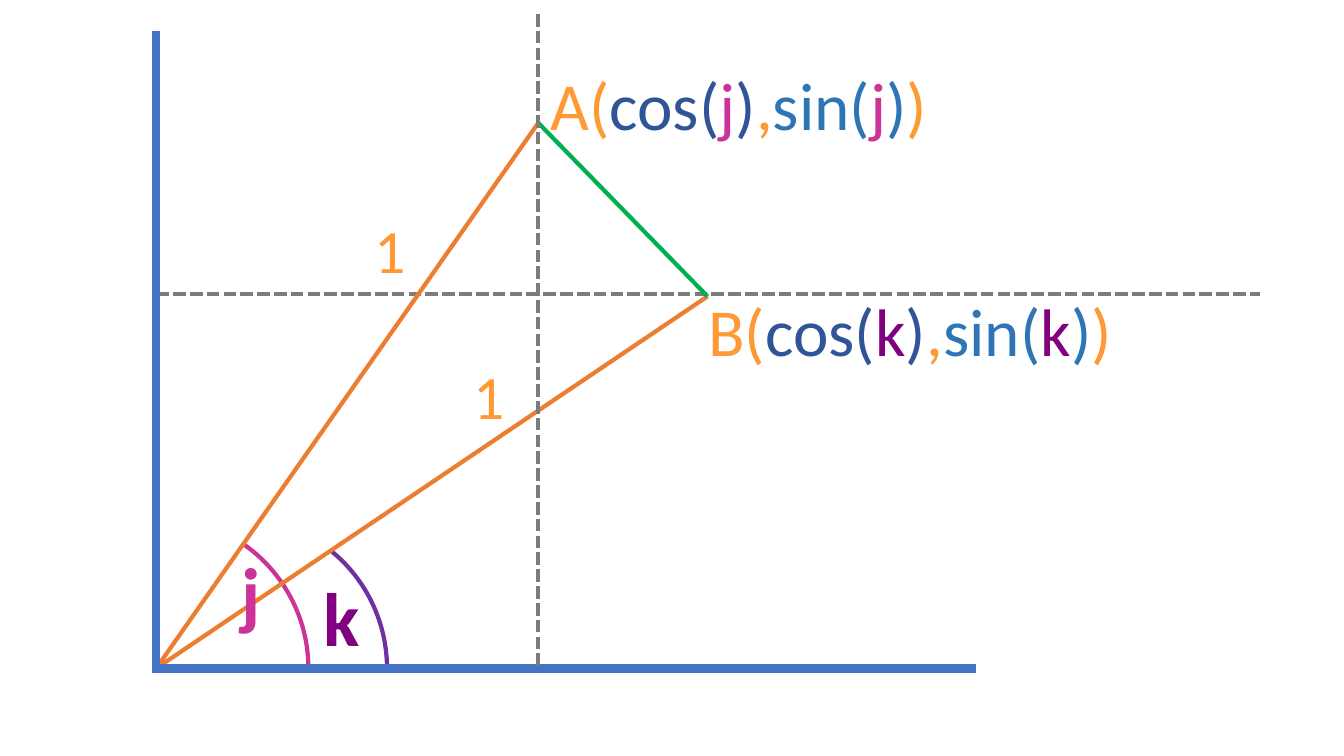
from lxml import etree
from pptx import Presentation
from pptx import util as u
from pptx.dml.color import RGBColor
from pptx.enum import dml, shapes, text
from pptx.oxml import ns

Pt = u.Pt
FONT = "Calibri"
COLORS = {
    "axis": "4472C4", "guide": "7C7C7C", "ray": "ED7D31", "chord": "00B050",
    "arc_k": "7030A0", "j": "CC3399", "k": "800080",
    "point": "FF9933", "cos": "2F5597", "sin": "2E75B6",
}

# Key places of the diagram, in points
ORIGIN = (111.6, 477.4)
A = (384.5, 87.8)
B = (505.4, 211.7)
GUIDE_Y = 210.3
AXIS_TOP = 22.3
AXIS_RIGHT = 697
ARC_RADIUS = 108


def color(name):
    return RGBColor.from_string(COLORS[name])


def add_line(page, start, end, name, width=3, dashed=False):
    ends = [Pt(value) for value in (*start, *end)]
    line = page.shapes.add_connector(shapes.MSO_CONNECTOR.STRAIGHT, *ends)
    line.line.color.rgb = color(name)
    line.line.width = Pt(width)
    if dashed:
        line.line.dash_style = dml.MSO_LINE.SQUARE_DOT
        line.line._ln.find(ns.qn("a:prstDash")).set("val", "sysDash")
    etree.SubElement(line._element.spPr, ns.qn("a:effectLst"))


def add_angle(page, center_x, degrees, name):
    """Draw an arc that rises from the horizontal axis by the given angle."""
    arc = page.shapes.add_shape(
        shapes.MSO_SHAPE.ARC, Pt(center_x - ARC_RADIUS), Pt(ORIGIN[1] - ARC_RADIUS),
        Pt(2 * ARC_RADIUS), Pt(2 * ARC_RADIUS))
    arc.shadow.inherit = False
    # Arc angles are stored in 60000ths of a degree, adjustments in 100000ths
    arc.adjustments[0] = (360 - degrees) * 0.6
    arc.adjustments[1] = 0
    arc.fill.background()
    arc.line.color.rgb = color(name)
    arc.line.width = Pt(3)


def add_label(page, left, top, width, height, size, spans, bold=False):
    box = page.shapes.add_textbox(Pt(left), Pt(top), Pt(width), Pt(height))
    frame = box.text_frame
    frame.word_wrap = True
    frame.auto_size = text.MSO_AUTO_SIZE.SHAPE_TO_FIT_TEXT
    para = frame.paragraphs[0]
    para.alignment = text.PP_ALIGN.CENTER
    para.font.name = FONT
    para.font.size = Pt(size)
    para.font.bold = bold
    for words, name in spans:
        span = para.add_run()
        span.text = words
        span.font.color.rgb = color(name)


def add_point_label(page, left, top, point, angle):
    spans = [
        (f"{point}(", "point"),
        ("cos(", "cos"), (angle, angle), (")", "cos"),
        (",", "point"),
        ("sin(", "sin"), (angle, angle), (")", "sin"),
        (")", "point"),
    ]
    add_label(page, left, top, 339.8, 65.5, 48, spans)


def main():
    deck = Presentation()
    deck.slide_width, deck.slide_height = Pt(960), Pt(540)
    page = deck.slides.add_slide(deck.slide_layouts[6])

    # Horizontal guide, angles and unit rays
    add_line(page, (ORIGIN[0], GUIDE_Y), (900, GUIDE_Y), "guide", dashed=True)
    add_angle(page, 168.5, 51.62, "arc_k")
    add_angle(page, 112.3, 54.65, "j")
    for point in (B, A):
        add_line(page, ORIGIN, point, "ray")

    # Axes
    add_line(page, (ORIGIN[0], AXIS_TOP), ORIGIN, "axis", 6)
    add_line(page, (AXIS_RIGHT, ORIGIN[1]), (ORIGIN[0] - 3, ORIGIN[1]), "axis", 6)

    # Angle names, ray lengths and point coordinates
    for angle, left, top in (("j", 155.5, 386.6), ("k", 220.3, 404.6)):
        add_label(page, left, top, 47.5, 72.7, 54, [(angle, angle)], bold=True)
    for left, top, width in ((244.1, 147.6, 69.8), (325.4, 252, 47.5)):
        add_label(page, left, top, width, 60.5, 44, [("1", "point")])
    add_point_label(page, 357.8, 41.8, "A", "j")
    add_point_label(page, 480.2, 203, "B", "k")

    # Chord and vertical guide
    add_line(page, A, B, "chord")
    add_line(page, (A[0], 10), (A[0], ORIGIN[1]), "guide", dashed=True)

    deck.save("out.pptx")


if __name__ == "__main__":
    main()
